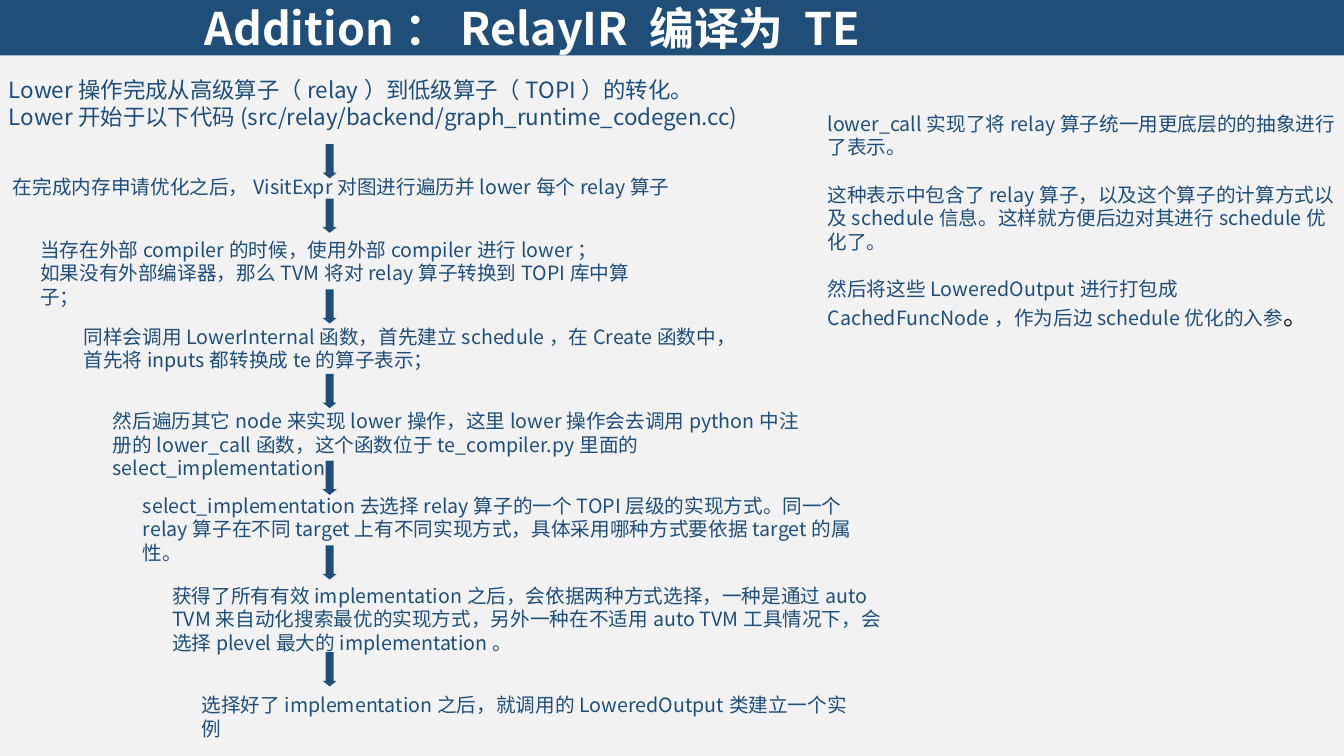
from dataclasses import dataclass

from pptx import Presentation
from pptx.dml.color import RGBColor as RGB
from pptx.enum.shapes import MSO_SHAPE as Shape
from pptx.oxml.ns import qn
from pptx.util import Inches, Pt
from lxml import etree


@dataclass(frozen=True)
class Theme:
    navy: RGB = RGB(0x1F, 0x4E, 0x79)
    paper: RGB = RGB(0xF2, 0xF2, 0xF2)
    white: RGB = RGB(0xFF, 0xFF, 0xFF)
    ink: RGB = RGB(0x12, 0x12, 0x12)
    font: str = "Noto Sans CJK SC"
    mark: str = "Lato"
    title: int = 32
    lead: int = 16
    body: int = 14
    stop: int = 18
    gap: int = 17


THEME = Theme()

LEAD = [
    "Lower操作完成从高级算子（relay）到低级算子（TOPI）的转化。",
    "Lower开始于以下代码(src/relay/backend/graph_runtime_codegen.cc)",
]

# Each step: left, top, width, height, paragraphs
STEPS = [
    (0.03, 1.69, 8.95, 0.34,
     ["在完成内存申请优化之后，VisitExpr对图进行遍历并lower每个relay算子"]),
    (0.3, 2.31, 6.14, 0.81,
     ["当存在外部compiler的时候，使用外部compiler进行lower；",
      "如果没有外部编译器，那么TVM将对relay算子转换到TOPI库中算子；"]),
    (0.73, 3.17, 6.66, 0.81,
     ["同样会调用LowerInternal函数，首先建立schedule，在Create函数中，"
      "首先将inputs都转换成te的算子表示；"]),
    (1.02, 4.01, 7.09, 0.57,
     ["然后遍历其它node来实现lower操作，这里lower操作会去调用python中注册的"
      "lower_call函数，这个函数位于te_compiler.py里面的select_implementation"]),
    (1.32, 4.85, 7.24, 0.57,
     ["select_implementation去选择relay算子的一个TOPI层级的实现方式。同一个relay算子"
      "在不同target上有不同实现方式，具体采用哪种方式要依据target的属性。"]),
    (1.61, 5.74, 7.24, 0.81,
     ["获得了所有有效implementation之后，会依据两种方式选择，一种是通过auto TVM"
      "来自动化搜索最优的实现方式，另外一种在不适用auto TVM工具情况下，"
      "会选择plevel最大的implementation。"]),
    (1.9, 6.83, 6.66, 0.34,
     ["选择好了implementation之后，就调用的LoweredOutput类建立一个实例"]),
]

ARROWS = [1.43, 1.97, 2.87, 3.71, 4.57, 5.41, 6.47]

NOTES = [
    "lower_call实现了将relay算子统一用更底层的的抽象进行了表示。",
    "这种表示中包含了relay算子，以及这个算子的计算方式以及schedule信息。"
    "这样就方便后边对其进行schedule优化了。",
    "然后将这些LoweredOutput进行打包成CachedFuncNode，作为后边schedule优化的入参",
]


def style(run, size, color, face=THEME.font, bold=False):
    font = run.font
    font.size, font.bold, font.name = Pt(size), bold, face
    font.color.rgb = color
    east = etree.SubElement(run._r.get_or_add_rPr(), qn("a:ea"))
    east.set("typeface", face)


def add_text(slide, box, lines, size, color=THEME.navy, bold=False, gap=0):
    frame = slide.shapes.add_textbox(*map(Inches, box)).text_frame
    frame.word_wrap = True
    frame.text = "\n".join(lines)
    for index, para in enumerate(frame.paragraphs):
        if index and gap:
            para.space_before = Pt(gap)
        for run in para.runs:
            style(run, size, color, bold=bold)
    return frame


def add_solid(slide, kind, box):
    shape = slide.shapes.add_shape(kind, *map(Inches, box))
    shape.shadow.inherit = False
    shape.fill.solid()
    shape.fill.fore_color.rgb = THEME.navy
    shape.line.fill.background()
    return shape


def add_arrow(slide, top):
    arrow = add_solid(slide, Shape.DOWN_ARROW, (3.2, top, 0.14, 0.34))
    arrow.adjustments[0] = 0.57
    arrow.adjustments[1] = 0.4


def main():
    deck = Presentation()
    deck.slide_width, deck.slide_height = Inches(13.33), Inches(7.5)
    slide = deck.slides.add_slide(deck.slide_layouts[6])
    slide.background.fill.solid()
    slide.background.fill.fore_color.rgb = THEME.paper

    # Title band
    add_solid(slide, Shape.RECTANGLE, (0, 0, 13.33, 0.55))
    add_text(slide, (1.93, -0.04, 10.36, 0.64), ["Addition：RelayIR 编译为 TE"],
             THEME.title, THEME.white, bold=True)

    # Lead and chain of steps
    add_text(slide, (-0.01, 0.71, 12.83, 0.91), LEAD, THEME.lead)
    for *box, lines in STEPS:
        add_text(slide, box, lines, THEME.body)
    for top in ARROWS:
        add_arrow(slide, top)

    # Side notes, closed by a larger full stop
    notes = add_text(slide, (8.11, 1.06, 5.33, 2.05), NOTES, THEME.body,
                     gap=THEME.gap)
    stop = notes.paragraphs[-1].add_run()
    stop.text = "。"
    style(stop, THEME.stop, THEME.ink, THEME.mark)

    deck.save("out.pptx")


if __name__ == "__main__":
    main()
